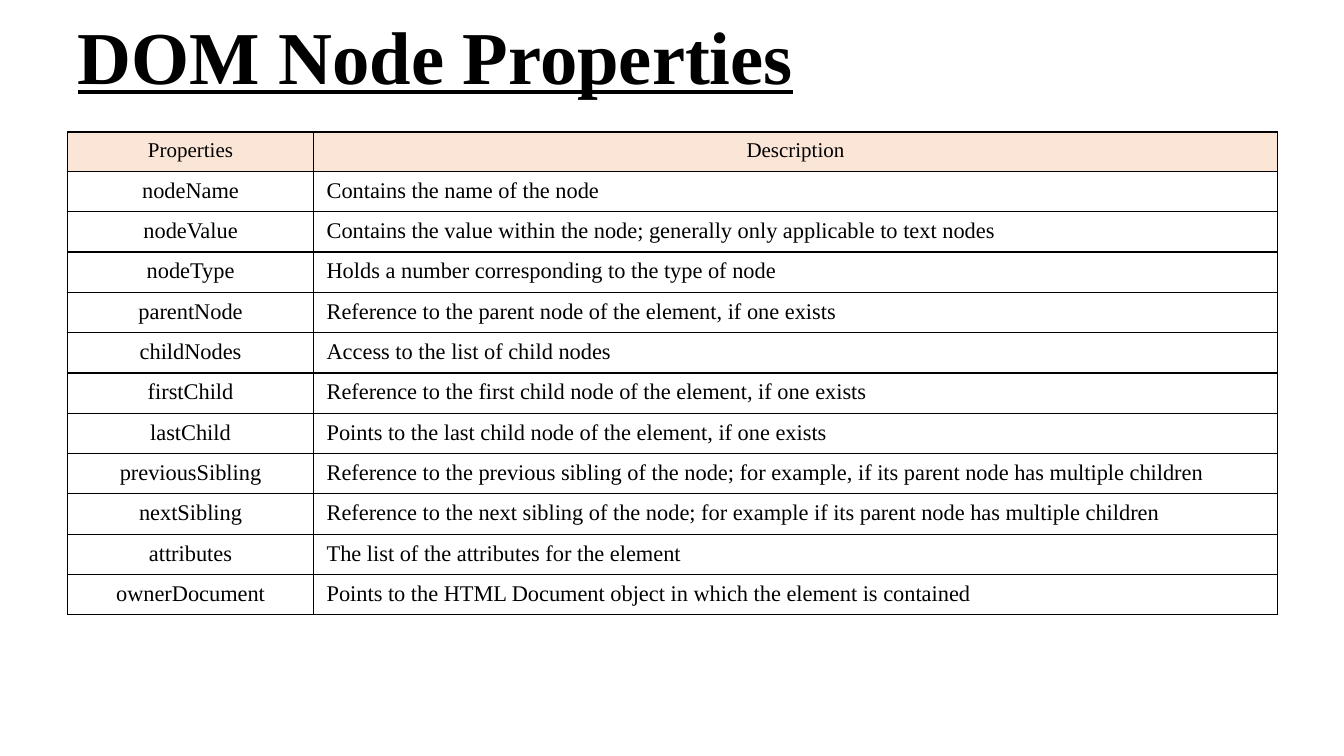
from dataclasses import dataclass

from lxml import etree
from pptx import Presentation
from pptx.dml.color import RGBColor
from pptx.enum.text import MSO_ANCHOR, PP_ALIGN
from pptx.oxml.ns import qn
from pptx.util import Pt

LEFT, CENTER = PP_ALIGN.LEFT, PP_ALIGN.CENTER
MIDDLE = MSO_ANCHOR.MIDDLE
PX = 9144  # 100 px to the inch
TITLE_ONLY = 5


@dataclass(frozen=True)
class Theme:
    font: str = "Times New Roman"
    ink: str = "000000"
    head: str = "FBE5D6"
    title: float = 53.3
    label: float = 15
    body: float = 16
    line: float = 1


THEME = Theme()
COLS = (244, 956)
HEAD_H, ROW_H = 39, 40
ROWS = (
    ("Properties", "Description"),
    ("nodeName", "Contains the name of the node"),
    ("nodeValue", "Contains the value within the node; generally only applicable to text nodes"),
    ("nodeType", "Holds a number corresponding to the type of node"),
    ("parentNode", "Reference to the parent node of the element, if one exists"),
    ("childNodes", "Access to the list of child nodes"),
    ("firstChild", "Reference to the first child node of the element, if one exists"),
    ("lastChild", "Points to the last child node of the element, if one exists"),
    ("previousSibling", "Reference to the previous sibling of the node; for example, "
                        "if its parent node has multiple children"),
    ("nextSibling", "Reference to the next sibling of the node; for example "
                    "if its parent node has multiple children"),
    ("attributes", "The list of the attributes for the element"),
    ("ownerDocument", "Points to the HTML Document object in which the element is contained"),
)


def px(n):
    return n * PX


def style(para, size, align):
    para.alignment = align
    for run in para.runs:
        run.font.name = THEME.font
        run.font.size = Pt(size)
        run.font.color.rgb = RGBColor.from_string(THEME.ink)


def add_title(slide, text):
    title = slide.shapes.title
    title.left, title.top = px(67), px(-3)
    title.width, title.height = px(1200), px(125)
    frame = title.text_frame
    frame.text = text
    frame.word_wrap = True
    frame.vertical_anchor = MIDDLE
    para = frame.paragraphs[0]
    para.line_spacing = 0.9
    style(para, THEME.title, LEFT)
    font = para.runs[0].font
    font.bold = font.underline = True


def add_edges(cell):
    """Draw all four borders; they must precede the fill in the cell's XML."""
    props = cell._tc.get_or_add_tcPr()
    for i, side in enumerate("LRTB"):
        edge = etree.Element(qn(f"a:ln{side}"), w=str(Pt(THEME.line)))
        fill = etree.SubElement(edge, qn("a:solidFill"))
        etree.SubElement(fill, qn("a:srgbClr"), val=THEME.ink)
        props.insert(i, edge)


def fill_cell(cell, text, head, align):
    cell.text = text
    cell.margin_left = cell.margin_right = px(13)
    cell.margin_top = cell.margin_bottom = px(7)
    style(cell.text_frame.paragraphs[0], THEME.label if head else THEME.body, align)
    if head:
        cell.fill.solid()
        cell.fill.fore_color.rgb = RGBColor.from_string(THEME.head)
    else:
        cell.fill.background()
    add_edges(cell)


def add_grid(slide, rows):
    high = HEAD_H + ROW_H * (len(rows) - 1)
    frame = slide.shapes.add_table(len(rows), len(COLS), px(67), px(131),
                                   px(sum(COLS)), px(high))
    table = frame.table
    table.first_row = table.horz_banding = False
    for col, wide in zip(table.columns, COLS):
        col.width = px(wide)
    for r, row in enumerate(rows):
        head = r == 0
        table.rows[r].height = px(HEAD_H if head else ROW_H)
        for c, text in enumerate(row):
            align = CENTER if head or c == 0 else LEFT
            fill_cell(table.cell(r, c), text, head, align)


def main():
    deck = Presentation()
    deck.slide_width, deck.slide_height = px(1333), px(750)
    slide = deck.slides.add_slide(deck.slide_layouts[TITLE_ONLY])
    add_title(slide, "DOM Node Properties")
    add_grid(slide, ROWS)
    deck.save("out.pptx")


if __name__ == "__main__":
    main()
